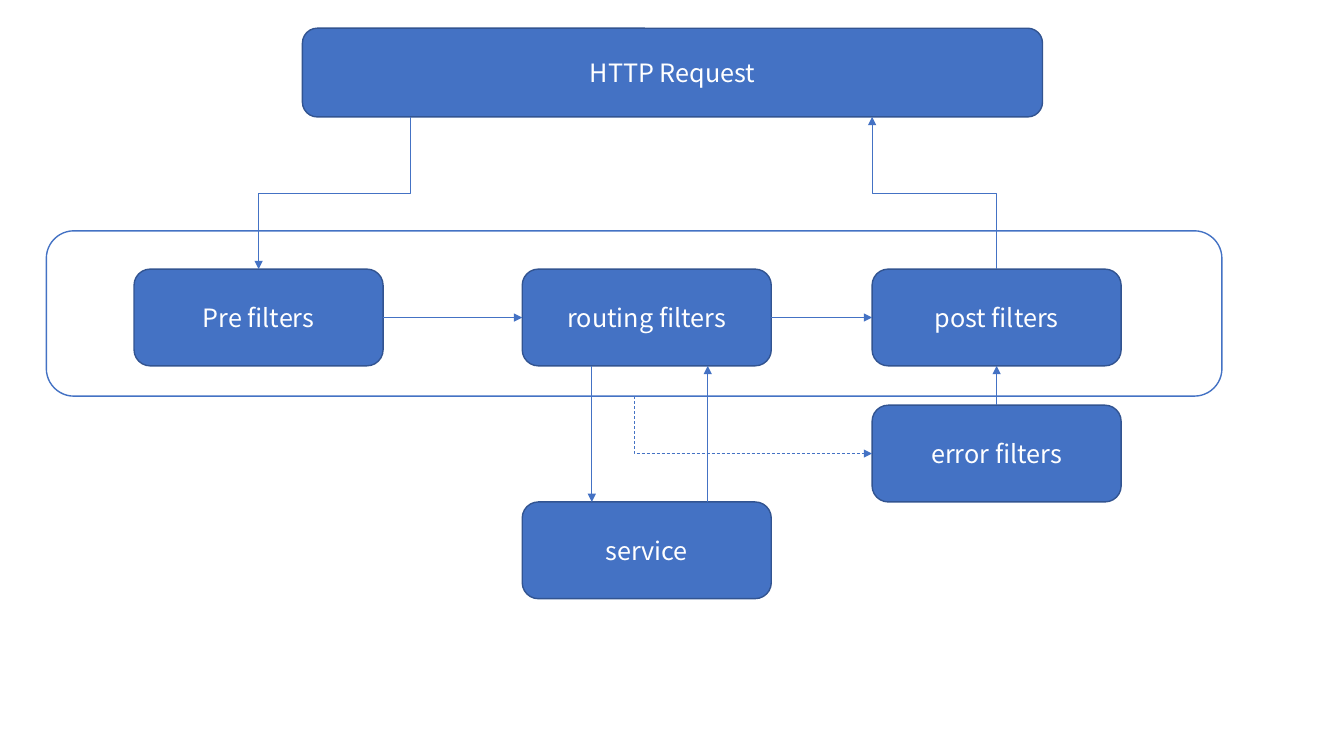
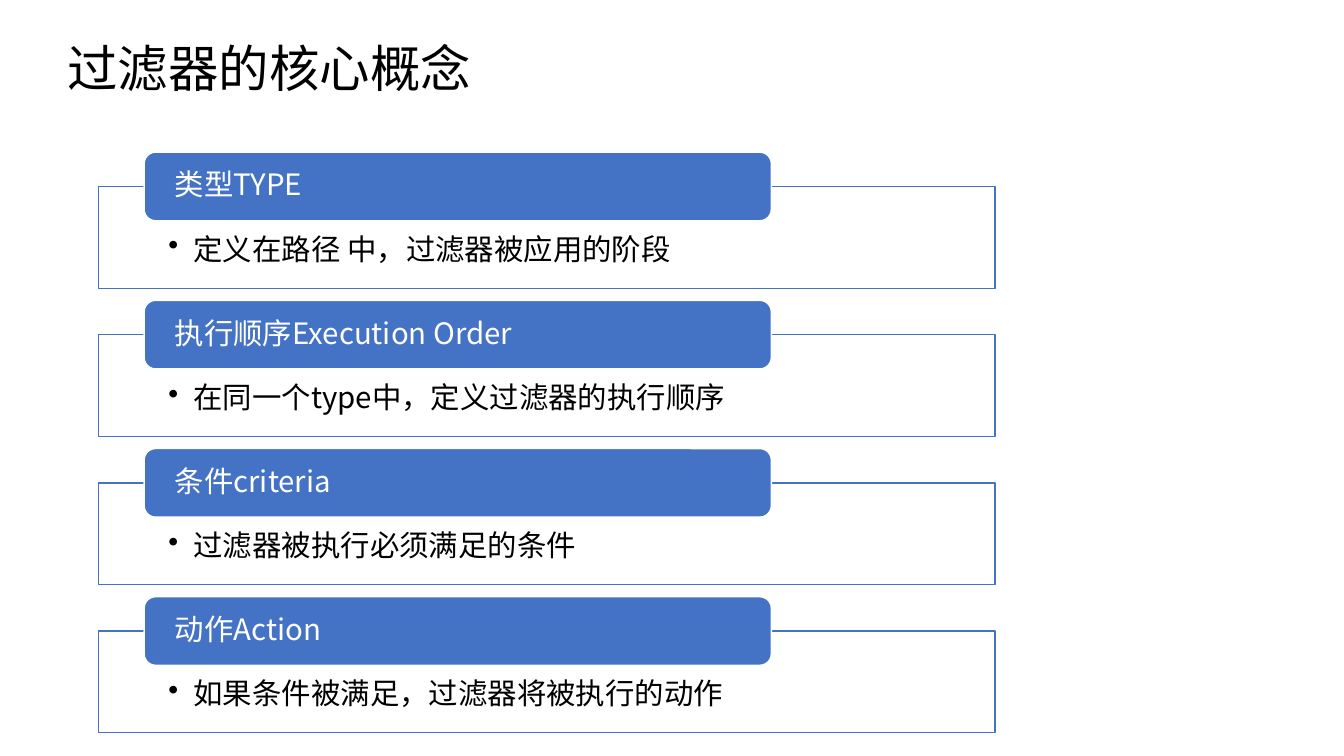
"""Build two slides that explain the filters of an HTTP gateway."""
from lxml.etree import SubElement
from pptx import Presentation
from pptx.dml.color import RGBColor
from pptx.enum.dml import MSO_LINE
from pptx.enum.shapes import MSO_CONNECTOR, MSO_SHAPE
from pptx.enum.text import MSO_ANCHOR, MSO_AUTO_SIZE, PP_ALIGN
from pptx.oxml.ns import qn
from pptx.util import Inches, Pt

FONT = "Noto Sans CJK SC"
COLORS = {"blue": "4472C4", "edge": "325491", "white": "FFFFFF", "black": "000000"}
TITLE_ONLY, BLANK = 5, 6

BOX_WIDTH, BOX_HEIGHT = 2.47, 0.96
FILTER_TOP = 2.67
FILTER_MIDDLE = FILTER_TOP + BOX_HEIGHT / 2
FILTER_BOTTOM = FILTER_TOP + BOX_HEIGHT
PRE_LEFT, ROUTING_LEFT, POST_LEFT = 1.33, 5.18, 8.65
POST_CENTER = POST_LEFT + BOX_WIDTH / 2
ERROR_TOP, SERVICE_TOP = 4.02, 4.98
REQUEST_BOTTOM = 1.16
PANEL_LEFT, PANEL_TOP, PANEL_WIDTH, PANEL_HEIGHT = 0.46, 2.29, 11.66, 1.64

CONCEPTS = [
    ("类型TYPE", "定义在路径 中，过滤器被应用的阶段"),
    ("执行顺序Execution Order", "在同一个type中，定义过滤器的执行顺序"),
    ("条件criteria", "过滤器被执行必须满足的条件"),
    ("动作Action", "如果条件被满足，过滤器将被执行的动作"),
]
CONCEPT_TOP, CONCEPT_PITCH = 1.85, 1.47
HEADER_RISE = 0.34


def color(name):
    """Return the named palette colour."""
    return RGBColor.from_string(COLORS[name])


def add_text(shape, text, size, ink, align=PP_ALIGN.LEFT):
    """Write one formatted run into the shape and return its paragraph."""
    para = shape.text_frame.paragraphs[0]
    para.alignment = align
    span = para.add_run()
    span.text = text
    span.font.size = Pt(size)
    span.font.name = FONT
    span.font.color.rgb = color(ink)
    SubElement(span.font._element, qn("a:ea"), typeface=FONT)
    return para


def set_frame(shape, anchor, left, top, right, bottom):
    """Set the anchor and the insets of the shape's text."""
    frame = shape.text_frame
    frame.word_wrap = True
    frame.vertical_anchor = anchor
    frame.margin_left, frame.margin_top = Inches(left), Inches(top)
    frame.margin_right, frame.margin_bottom = Inches(right), Inches(bottom)


def add_box(page, kind, left, top, width, height, fill, line):
    """Add a flat preset shape with a one-point outline."""
    box = page.shapes.add_shape(kind, Inches(left), Inches(top), Inches(width), Inches(height))
    box.shadow.inherit = False
    box.fill.solid()
    box.fill.fore_color.rgb = color(fill)
    box.line.color.rgb = color(line)
    box.line.width = Pt(1)
    return box


def add_node(page, text, left, top, width=BOX_WIDTH, height=BOX_HEIGHT):
    """Add a blue rounded box with a centred label."""
    node = add_box(page, MSO_SHAPE.ROUNDED_RECTANGLE, left, top, width, height, "blue", "edge")
    set_frame(node, MSO_ANCHOR.MIDDLE, 0.1, 0.05, 0.1, 0.05)
    add_text(node, text, 18, "white", PP_ALIGN.CENTER)


def add_arrow(page, start, end, kind=MSO_CONNECTOR.STRAIGHT):
    """Add a thin blue connector with a triangle at its end."""
    arrow = page.shapes.add_connector(kind, *map(Inches, start + end))
    arrow.line.color.rgb = color("blue")
    arrow.line.width = Pt(0.5)
    SubElement(arrow.line._get_or_add_ln(), qn("a:tailEnd"), type="triangle")
    SubElement(arrow._element.spPr, qn("a:effectLst"))
    return arrow


def add_vertical_elbow(page, start, end, turn):
    """Add an elbow that leaves vertically, by turning it 90 or 270 degrees."""
    center_x, center_y = (start[0] + end[0]) / 2, (start[1] + end[1]) / 2
    sign = 1 if turn == 90 else -1
    across = sign * (start[1] - center_y)
    down = sign * (center_x - start[0])
    elbow = add_arrow(page, (center_x + across, center_y + down),
                      (center_x - across, center_y - down), MSO_CONNECTOR.ELBOW)
    elbow._element.spPr.find(qn("a:xfrm")).set("rot", str(turn * 60000))
    return elbow


def add_error_path(page):
    """Add the dashed single-bend arrow from the panel to the error filters."""
    path = add_vertical_elbow(page, (PANEL_LEFT + PANEL_WIDTH / 2, PANEL_TOP + PANEL_HEIGHT),
                              (POST_LEFT, ERROR_TOP + BOX_HEIGHT / 2), 270)
    path._element.spPr.find(qn("a:prstGeom")).set("prst", "bentConnector2")
    path.line.dash_style = MSO_LINE.DASH


def build_flow(deck):
    """Build the request flow through the filters."""
    page = deck.slides.add_slide(deck.slide_layouts[BLANK])
    add_box(page, MSO_SHAPE.ROUNDED_RECTANGLE, PANEL_LEFT, PANEL_TOP,
            PANEL_WIDTH, PANEL_HEIGHT, "white", "blue")
    add_node(page, "HTTP Request", 3, 0.28, 7.34, 0.88)
    for text, left, top in [
        ("Pre filters", PRE_LEFT, FILTER_TOP),
        ("routing filters", ROUTING_LEFT, FILTER_TOP),
        ("service", ROUTING_LEFT, SERVICE_TOP),
        ("post filters", POST_LEFT, FILTER_TOP),
        ("error filters", POST_LEFT, ERROR_TOP),
    ]:
        add_node(page, text, left, top)
    for start, end in [
        ((PRE_LEFT + BOX_WIDTH, FILTER_MIDDLE), (ROUTING_LEFT, FILTER_MIDDLE)),
        ((ROUTING_LEFT + BOX_WIDTH, FILTER_MIDDLE), (POST_LEFT, FILTER_MIDDLE)),
        ((5.87, FILTER_BOTTOM), (5.87, SERVICE_TOP)),
        ((7.02, SERVICE_TOP), (7.02, FILTER_BOTTOM)),
        ((POST_CENTER, ERROR_TOP), (POST_CENTER, FILTER_BOTTOM)),
    ]:
        add_arrow(page, start, end)
    add_vertical_elbow(page, (4.07, REQUEST_BOTTOM), (PRE_LEFT + BOX_WIDTH / 2, FILTER_TOP), 90)
    add_vertical_elbow(page, (POST_CENTER, FILTER_TOP), (POST_LEFT, REQUEST_BOTTOM), 270)
    add_error_path(page)


def set_title(page, text):
    """Place and fill the slide's title."""
    title = page.shapes.title
    title.left, title.top = Inches(0.57), Inches(0.32)
    title.width, title.height = Inches(4.24), Inches(0.71)
    set_frame(title, MSO_ANCHOR.TOP, 0.1, 0.05, 0.1, 0.05)
    title.text_frame.word_wrap = False
    title.text_frame.auto_size = MSO_AUTO_SIZE.SHAPE_TO_FIT_TEXT
    add_text(title, text, 36, "black")


def add_bullet(para):
    """Give the paragraph a hanging bullet."""
    properties = para._p.get_or_add_pPr()
    properties.set("marL", str(Inches(0.25)))
    properties.set("indent", str(Inches(-0.25)))
    SubElement(properties, qn("a:buChar"), char="•")


def add_concept(page, top, name, meaning):
    """Add an outlined definition with its name on a tab over the upper edge."""
    card = add_box(page, MSO_SHAPE.RECTANGLE, 0.98, top, 8.89, 1.01, "white", "blue")
    set_frame(card, MSO_ANCHOR.TOP, 0.69, 0.48, 0.69, 0.16)
    definition = add_text(card, meaning, 21, "black")
    definition.level = 1
    definition.line_spacing = 0.9
    add_bullet(definition)
    tab = add_box(page, MSO_SHAPE.ROUNDED_RECTANGLE, 1.43, top - HEADER_RISE,
                  6.22, 0.68, "blue", "white")
    set_frame(tab, MSO_ANCHOR.MIDDLE, 0.27, 0, 0.27, 0)
    add_text(tab, name, 21, "white").line_spacing = 0.9


def build_concepts(deck):
    """Build the list of core filter concepts."""
    page = deck.slides.add_slide(deck.slide_layouts[TITLE_ONLY])
    for index, (name, meaning) in enumerate(CONCEPTS):
        add_concept(page, CONCEPT_TOP + index * CONCEPT_PITCH, name, meaning)
    set_title(page, "过滤器的核心概念")


def main():
    """Create the deck and save it."""
    deck = Presentation()
    deck.slide_width, deck.slide_height = Inches(13.33), Inches(7.5)
    build_flow(deck)
    build_concepts(deck)
    deck.save("out.pptx")


main()
